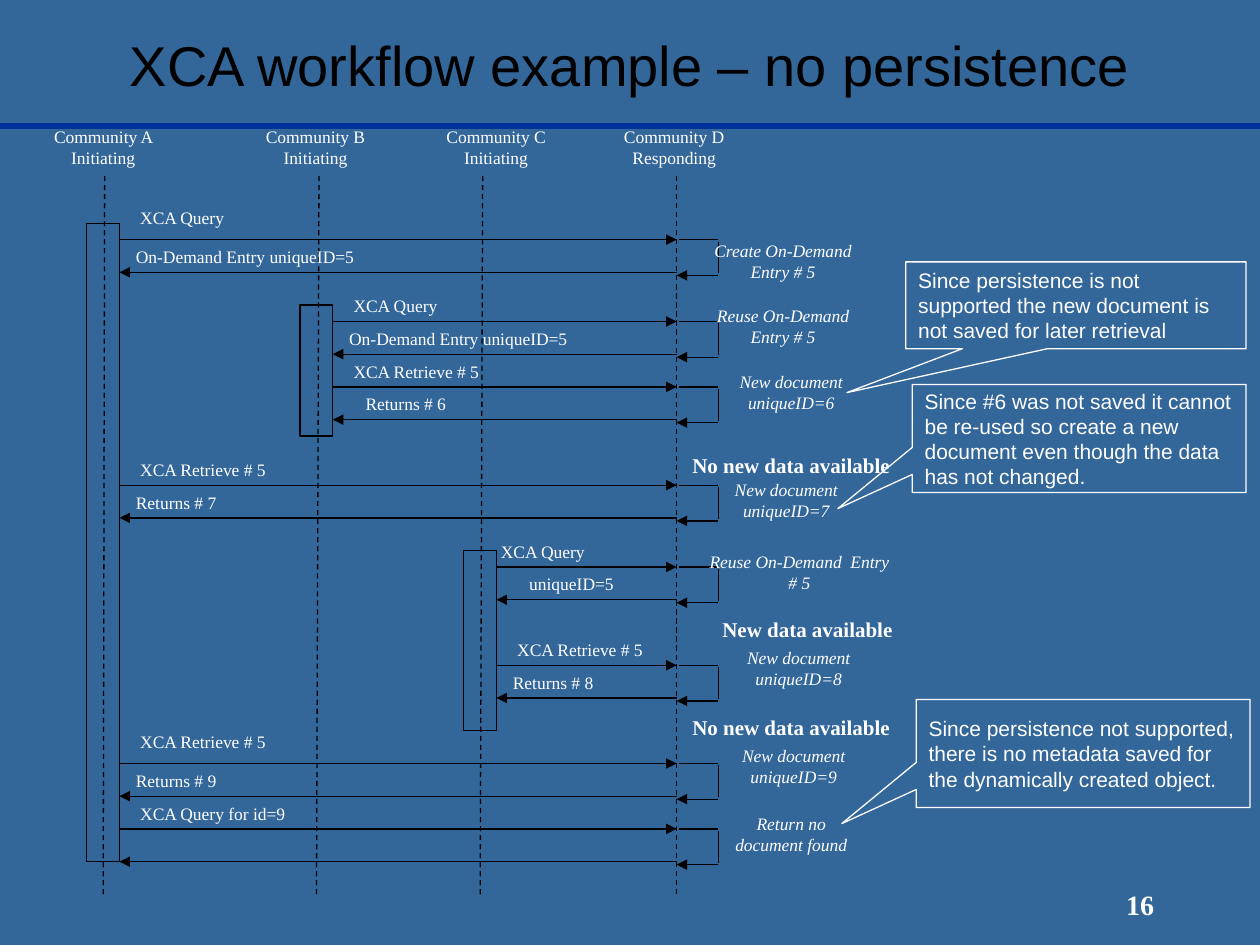
"""Build the XCA workflow sequence diagram slide."""
from dataclasses import dataclass

from lxml.etree import SubElement
from pptx import Presentation
from pptx.dml.color import RGBColor
from pptx.enum.dml import MSO_LINE
from pptx.enum.shapes import MSO_CONNECTOR, MSO_SHAPE
from pptx.enum.text import MSO_ANCHOR, PP_ALIGN
from pptx.oxml.ns import qn
from pptx.util import Cm, Pt

BACKGROUND = RGBColor(0x33, 0x66, 0x99)
RULE = RGBColor(0x00, 0x33, 0x99)
BLACK = RGBColor(0x00, 0x00, 0x00)
WHITE = RGBColor(0xFF, 0xFF, 0xFF)

FIRST_ROW = 4.83
STEP = 0.33
RESPONDER = 13.64
LOOP_RIGHT = 14.48
LOOP_HEIGHT = 0.72

PLAIN = {"name": "Times New Roman", "size": Pt(10)}
ITALIC = {**PLAIN, "italic": True}
BOLD = {**PLAIN, "size": Pt(12), "bold": True}
NUMBER = {**PLAIN, "size": Pt(16), "bold": True}
CALLOUT = {"name": "Arial", "size": Pt(12)}
TITLE = {"name": "Arial", "size": Pt(32)}
NO_INSETS = (0, 0, 0, 0)
LABEL_INSETS = (0, 0.13, 0, 0)
INSETS = (0.25, 0.13, 0.25, 0.13)


@dataclass
class Community:
    """A lifeline with its heading."""
    text: str
    left: float
    width: float
    foot: float
    head: float


@dataclass
class Session:
    """An activation bar, placed by its right edge and grid rows."""
    edge: float
    row: float
    rows: float


@dataclass
class Message:
    """A labelled arrow between a session and the responder."""
    session: Session
    row: float
    text: str
    reply: bool = False
    indent: float = 1
    width: float = 3.2
    insets: tuple = LABEL_INSETS


@dataclass
class Note:
    """A remark beside the responder's lifeline."""
    left: float
    row: float
    width: float
    text: str
    font: dict


@dataclass
class Callout:
    """A speech box with its pointer offsets."""
    left: float
    top: float
    width: float
    height: float
    pointer: tuple
    text: str


COMMUNITIES = [
    Community("Community A Initiating", 0.76, 2.64, 2.08, 2.11),
    Community("Community B Initiating", 5.05, 2.62, 6.38, 6.43),
    Community("Community C Initiating", 8.69, 2.62, 9.68, 9.73),
    Community("Community D Responding", 12.32, 2.54, RESPONDER, RESPONDER),
]
SESSION_A = Session(2.41, -1, 39)
SESSION_B = Session(6.71, 4, 8)
SESSION_C = Session(10.01, 19, 11)
MESSAGES = [
    Message(SESSION_A, 0, " XCA Query", insets=NO_INSETS),
    Message(SESSION_A, 2, "On-Demand Entry uniqueID=5", True, width=5.61),
    Message(SESSION_B, 5, " XCA Query"),
    Message(SESSION_B, 7, "On-Demand Entry uniqueID=5", True, width=4.62),
    Message(SESSION_B, 9, " XCA Retrieve # 5"),
    Message(SESSION_B, 11, "Returns # 6", True, indent=2),
    Message(SESSION_A, 15, " XCA Retrieve # 5"),
    Message(SESSION_A, 17, "Returns # 7", True),
    Message(SESSION_C, 20, " XCA Query", indent=0),
    Message(SESSION_C, 22, "uniqueID=5", True, indent=2, width=2.64),
    Message(SESSION_C, 26, " XCA Retrieve # 5"),
    Message(SESSION_C, 28, "Returns # 8", True),
    Message(SESSION_A, 32, " XCA Retrieve # 5", insets=NO_INSETS),
    Message(SESSION_A, 34, "Returns # 9", True),
    Message(SESSION_A, 36, " XCA Query for id=9"),
    Message(SESSION_A, 38, "", True),
]
NOTES = [
    Note(14.3, 0, 2.97, "Create On-Demand Entry # 5", ITALIC),
    Note(14.3, 4, 2.97, "Reuse On-Demand Entry # 5", ITALIC),
    Note(14.63, 8, 2.64, "New document uniqueID=6", ITALIC),
    Note(13.64, 13, 4.62, "No new data available", BOLD),
    Note(14.53, 14.6, 2.64, "New document uniqueID=7", ITALIC),
    Note(14.3, 19, 3.63, "Reuse On-Demand  Entry # 5", ITALIC),
    Note(14.3, 23, 3.96, "New data available", BOLD),
    Note(14.78, 24.9, 2.64, "New document uniqueID=8", ITALIC),
    Note(13.64, 29, 4.62, "No new data available", BOLD),
    Note(14.68, 30.85, 2.64, "New document uniqueID=9", ITALIC),
    Note(14.63, 35, 2.64, "Return no document found", ITALIC),
]
CALLOUTS = [
    Callout(18.26, 5.28, 6.86, 1.75, (-0.673, 1.006),
            "Since persistence is not supported the new document is not saved for later retrieval"),
    Callout(18.39, 7.75, 6.73, 2.18, (-0.723, 0.649),
            "Since #6 was not saved it cannot be re-used so create a new document "
            "even though the data has not changed."),
    Callout(18.47, 14.1, 6.73, 2.18, (-0.723, 0.649),
            "Since persistence not supported, there is no metadata saved for the "
            "dynamically created object."),
]


def row_top(row: float) -> float:
    """Return the height of a grid row in centimetres."""
    return FIRST_ROW + row * STEP


def assign(target, values: dict) -> None:
    """Set each named attribute on the target."""
    for name, value in values.items():
        setattr(target, name, value)


def write(shape, text: str, font: dict, insets: tuple, align=PP_ALIGN.LEFT,
          anchor=MSO_ANCHOR.TOP, color: RGBColor = WHITE) -> None:
    """Fill a shape with one formatted paragraph."""
    sides = ("margin_left", "margin_top", "margin_right", "margin_bottom")
    assign(shape.text_frame, {"word_wrap": True, "vertical_anchor": anchor,
                              **{side: Cm(inset) for side, inset in zip(sides, insets)}})
    para = shape.text_frame.paragraphs[0]
    para.alignment = align
    span = para.add_run()
    span.text = text
    assign(span.font, font)
    span.font.color.rgb = color


def add_text(page, left: float, top: float, width: float, height: float,
             text: str, font: dict, insets: tuple = NO_INSETS, **layout) -> None:
    """Add a text box."""
    box = page.shapes.add_textbox(Cm(left), Cm(top), Cm(width), Cm(height))
    write(box, text, font, insets, **layout)


def add_line(page, start: tuple, end: tuple, color: RGBColor = BLACK,
             width: float = 0.75, dashed: bool = False, arrow: bool = False) -> None:
    """Add a straight line, dashed or with an arrowhead at its end."""
    line = page.shapes.add_connector(MSO_CONNECTOR.STRAIGHT, *map(Cm, start + end))
    line.line.color.rgb = color
    line.line.width = Pt(width)
    if dashed:
        line.line.dash_style = MSO_LINE.DASH
    properties = line._element.spPr
    if arrow:
        SubElement(properties.find(qn("a:ln")), qn("a:tailEnd"), type="triangle")
    SubElement(properties, qn("a:effectLst"))


def add_outline(page, kind, left: float, top: float, width: float, height: float,
                color: RGBColor):
    """Add an unfilled preset shape."""
    shape = page.shapes.add_shape(kind, Cm(left), Cm(top), Cm(width), Cm(height))
    shape.shadow.inherit = False
    shape.fill.background()
    shape.line.color.rgb = color
    shape.line.width = Pt(0.75)
    return shape


def add_community(page, item: Community) -> None:
    """Draw a heading and its lifeline."""
    add_text(page, item.left, 2.54, item.width, 0.89, item.text, PLAIN, align=PP_ALIGN.CENTER)
    add_line(page, (item.foot, 18.03), (item.head, 3.53), dashed=True)


def add_message(page, item: Message) -> None:
    """Draw an arrow with its label, and the responder's loop for a request."""
    edge, top = item.session.edge, row_top(item.row)
    ends = [(edge, top), (RESPONDER, top)]
    add_line(page, *(reversed(ends) if item.reply else ends), arrow=True)
    if item.text:
        add_text(page, edge + item.indent * STEP, row_top(item.row - 2), item.width, 0.61,
                 item.text, PLAIN, item.insets)
    if not item.reply:
        bottom = top + LOOP_HEIGHT
        add_line(page, (RESPONDER + 0.05, top), (LOOP_RIGHT, top))
        add_line(page, (LOOP_RIGHT, top + 0.04), (LOOP_RIGHT, bottom - 0.04))
        add_line(page, (LOOP_RIGHT, bottom), (RESPONDER, bottom), arrow=True)


def build() -> None:
    """Assemble and save the deck."""
    deck = Presentation()
    assign(deck, {"slide_width": Cm(25.4), "slide_height": Cm(19.05)})
    page = deck.slides.add_slide(deck.slide_layouts[5])
    page.background.fill.solid()
    page.background.fill.fore_color.rgb = BACKGROUND
    add_line(page, (0, 2.54), (25.4, 2.54), RULE, 3)
    title = page.shapes.title
    assign(title, {"left": Cm(1.9), "top": Cm(0.1), "width": Cm(21.6), "height": Cm(2.39)})
    centred = {"align": PP_ALIGN.CENTER, "anchor": MSO_ANCHOR.MIDDLE}
    write(title, "XCA workflow example – no persistence", TITLE, INSETS, color=BLACK, **centred)
    add_text(page, 21.18, 17.6, 3.61, 1.27, "16", NUMBER, INSETS, **centred)
    for community in COMMUNITIES:
        add_community(page, community)
    for session in (SESSION_A, SESSION_B, SESSION_C):
        add_outline(page, MSO_SHAPE.RECTANGLE, session.edge - 2 * STEP, row_top(session.row),
                    2 * STEP, session.rows * STEP, BLACK)
    for message in MESSAGES:
        add_message(page, message)
    for note in NOTES:
        add_text(page, note.left, row_top(note.row), note.width, 0.99, note.text, note.font,
                 align=PP_ALIGN.CENTER)
    for item in CALLOUTS:
        callout = add_outline(page, MSO_SHAPE.RECTANGULAR_CALLOUT, item.left, item.top,
                              item.width, item.height, WHITE)
        callout.adjustments[0], callout.adjustments[1] = item.pointer
        write(callout, item.text, CALLOUT, INSETS, anchor=MSO_ANCHOR.MIDDLE)
    deck.save("out.pptx")


build()
